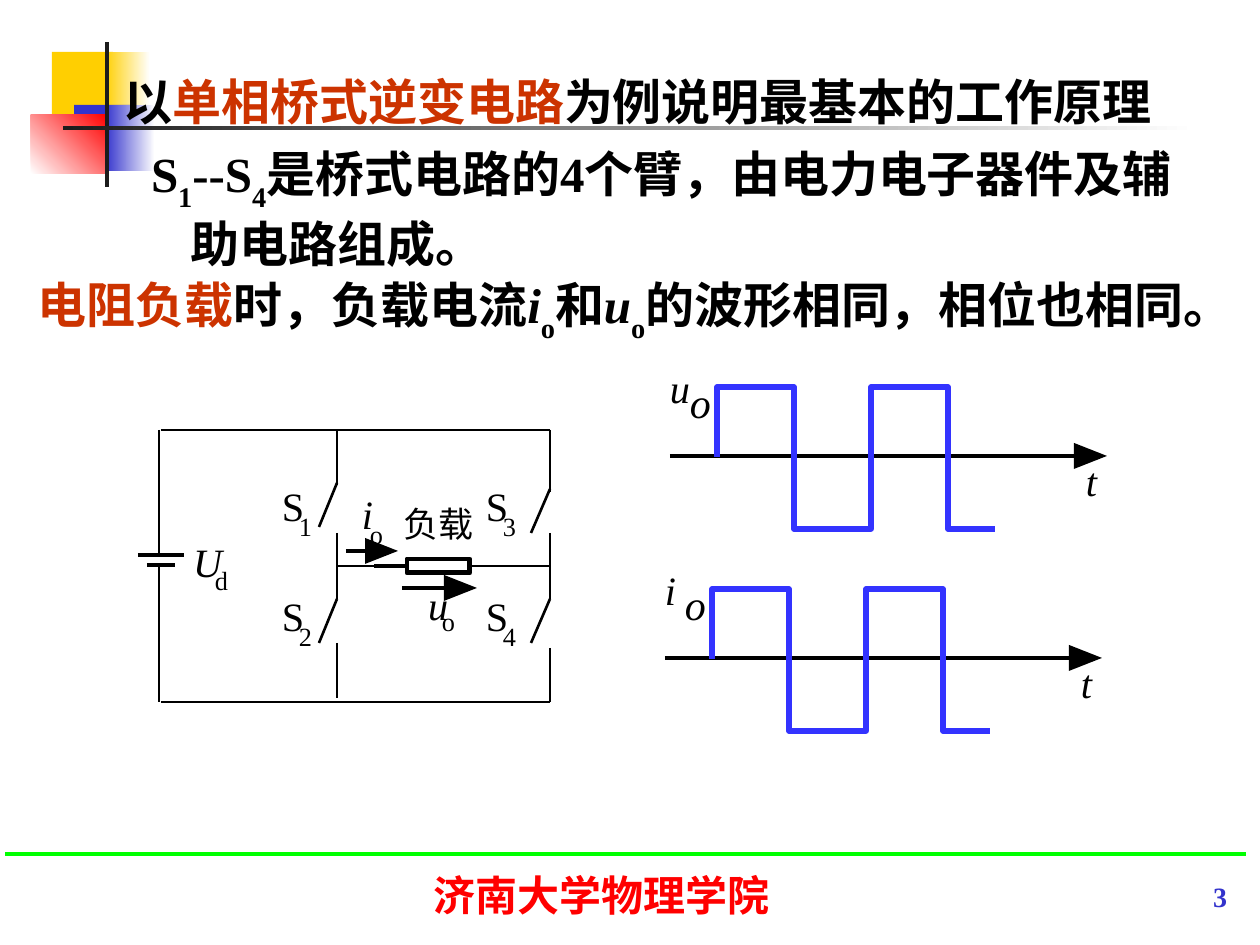
import pptx
import pptx.dml.color
import pptx.enum.dml
import pptx.enum.shapes
import pptx.enum.text
import pptx.oxml.ns
import pptx.util
from lxml import etree

PX = 914400 // 126
SERIF = "Times New Roman"
BLACK, BLUE, ORANGE = "000000", "3333CC", "CC3300"
ALIGN = pptx.enum.text.PP_ALIGN
RECTANGLE = pptx.enum.shapes.MSO_SHAPE.RECTANGLE
color = pptx.dml.color.RGBColor.from_string

presentation = pptx.Presentation()
presentation.slide_width = 1260 * PX
presentation.slide_height = 945 * PX
slide = presentation.slides.add_slide(presentation.slide_layouts[6])
shapes = slide.shapes


def add_line(x1, y1, x2, y2, width=1.5, line_color=BLACK):
    line = shapes.add_connector(
        pptx.enum.shapes.MSO_CONNECTOR.STRAIGHT, x1 * PX, y1 * PX, x2 * PX, y2 * PX)
    line.line.width = pptx.util.Pt(width)
    line.line.color.rgb = color(line_color)
    etree.SubElement(line._element.spPr, pptx.oxml.ns.qn("a:effectLst"))
    return line


def add_text(box, runs, size, font=SERIF, bold=True, align=ALIGN.LEFT,
             margins=(13, 6, 13, 6), indent=0, spacing=None, wrap=True):
    shape = shapes.add_textbox(*[value * PX for value in box])
    frame = shape.text_frame
    frame.word_wrap = wrap
    frame.margin_left, frame.margin_top, frame.margin_right, frame.margin_bottom = [
        value * PX for value in margins]
    paragraph = frame.paragraphs[0]
    paragraph.alignment = align
    paragraph.line_spacing = spacing
    if indent:
        properties = paragraph._p.get_or_add_pPr()
        properties.set("marL", str(indent * PX))
        properties.set("indent", str(-indent * PX))
        properties.set("hangingPunct", "0")
    for text, text_color, italic, baseline in runs:
        run = paragraph.add_run()
        run.text = text
        run.font.size = pptx.util.Pt(size)
        run.font.name = font
        run.font.bold = bold
        run.font.italic = italic
        run.font.color.rgb = color(text_color)
        properties = run._r.get_or_add_rPr()
        if baseline:
            properties.set("baseline", str(baseline * 1000))
        east_asian = etree.SubElement(properties, pptx.oxml.ns.qn("a:ea"))
        east_asian.set("typeface", "Noto Sans CJK SC")


add_text((840, 874, 400, 44), [("3", BLUE, False, 0)], 16, align=ALIGN.RIGHT)

decorations = [
    (52, 52, 61, 66, ["FFCF01"], 0),
    (105, 52, 45, 66, ["FFCF01", "FFFFFF"], 0),
    (74, 105, 57, 66, [BLUE], 0),
    (105, 105, 50, 66, [BLUE, "FFFFFF"], 0),
    (31, 115, 77, 59, ["FFFFFF", "FF0000"], 45),
    (105, 42, 4, 145, ["1C1C1C"], 0),
    (63, 126, 1134, 4, ["1C1C1C", "FFFFFF"], 0),
]
for left, top, width, height, fills, angle in decorations:
    shape = shapes.add_shape(RECTANGLE, left * PX, top * PX, width * PX, height * PX)
    shape.shadow.inherit = False
    shape.line.fill.background()
    if len(fills) == 1:
        shape.fill.solid()
        shape.fill.fore_color.rgb = color(fills[0])
    else:
        shape.fill.gradient()
        shape.fill.gradient_angle = angle
        for stop, fill_color in zip(shape.fill.gradient_stops, fills):
            stop.color.rgb = color(fill_color)

add_text((369, 864, 465, 73), [("济南大学物理学院", "FF0000", False, 0)], 24,
         font="Lato", align=ALIGN.CENTER, margins=(13, 6, 13, 0))
add_line(5, 854, 1246, 854, 2.25, "00FF00")

add_text((64, 57, 1147, 81), [
    ("以", BLACK, False, 0),
    ("单相桥式逆变电路", ORANGE, False, 0),
    ("为例说明最基本的工作原理", BLACK, False, 0),
], 28, font="Lato", align=ALIGN.CENTER, indent=48, spacing=1.15, wrap=False)

add_text((138, 138, 1052, 141), [
    ("S", BLACK, False, 0),
    ("1", BLACK, False, -30),
    ("--S", BLACK, False, 0),
    ("4", BLACK, False, -30),
    ("是桥式电路的4个臂，由电力电子器件及辅助电路组成。", BLACK, False, 0),
], 28, indent=40)

add_text((25, 269, 1232, 124), [
    ("电阻负载", ORANGE, False, 0),
    ("时，负载电流", BLACK, False, 0),
    ("i", BLACK, True, 0),
    ("o", BLACK, False, -30),
    ("和", BLACK, False, 0),
    ("u", BLACK, True, 0),
    ("o", BLACK, False, -30),
    ("的波形相同，相位也相同。", BLACK, False, 0),
], 28, align=ALIGN.JUSTIFY, indent=40, spacing=0.9)

arrows = [(670, 1076, 456), (665, 1071, 658), (346, 367, 551), (402, 446, 588)]
for start, end, y in arrows:
    add_line(start, y, end, y, 2.75)
    builder = shapes.build_freeform(end - 2, y - 13, scale=PX)
    builder.add_line_segments([(end + 31, y), (end - 2, y + 13)], close=True)
    head = builder.convert_to_shape()
    head.shadow.inherit = False
    head.fill.solid()
    head.fill.fore_color.rgb = color(BLACK)
    head.line.fill.background()

labels = [
    ("负载", 403, 503, 71, 20, False),
    ("i", 362, 489, 11, 23, True), ("o", 370, 518, 14, 15, False),
    ("u", 428, 580, 20, 23, True), ("o", 442, 605, 14, 15, False),
    ("U", 193, 537, 29, 23, True), ("d", 215, 564, 14, 15, False),
]
for number, x, y in [("1", 282, 481), ("2", 282, 591), ("3", 486, 481), ("4", 486, 591)]:
    labels += [("S", x, y, 23, 23, False), (number, x + 17, y + 29, 14, 15, False)]

for name, name_width, x, y in [("u", 20, 670, 363), ("i", 11, 665, 565)]:
    high, low = y + 24, y + 166
    points = [(x + 47, high)]
    for step, level in enumerate([low, high, low]):
        edge = x + 124 + 77 * step
        points += [(edge, points[-1][1]), (edge, level)]
    points.append((x + 325, low))
    builder = shapes.build_freeform(x + 47, y + 94, scale=PX)
    builder.add_line_segments(points, close=False)
    wave = builder.convert_to_shape()
    wave.shadow.inherit = False
    wave.fill.background()
    wave.line.color.rgb = color("3333FF")
    wave.line.width = pptx.util.Pt(3)
    labels += [(name, x, y, name_width, 23, True), ("o", x + 20, y + 14, 21, 24, True),
               ("t", x + 416, y + 93, 11, 23, True)]

for y, start, end in [(555, 138, 184), (565, 147, 175)]:
    add_line(start, y, end, y, 2.75)

wires = [
    (159, 430, 159, 555), (159, 565, 159, 702),
    (161, 430, 550, 430), (161, 702, 550, 702),
    (337, 430, 337, 485), (337, 533, 337, 599), (337, 643, 337, 698),
    (550, 430, 550, 492), (550, 533, 550, 599), (550, 648, 550, 702),
    (319, 527, 337, 483), (319, 643, 337, 599),
    (531, 533, 550, 489), (531, 643, 550, 599),
    (337, 566, 383, 566),
]
for wire in wires:
    add_line(*wire)

resistor = shapes.add_shape(RECTANGLE, 407 * PX, 559 * PX, 63 * PX, 14 * PX)
resistor.shadow.inherit = False
resistor.fill.background()
resistor.line.color.rgb = color(BLACK)
resistor.line.width = pptx.util.Pt(2.75)
add_line(407, 566, 374, 566, 2.75).begin_connect(resistor, 1)
add_line(470, 566, 550, 566).begin_connect(resistor, 3)

for text, x, y, width, size, italic in labels:
    font = "Noto Sans CJK SC" if text == "负载" else SERIF
    add_text((x, y, width, 2 * size), [(text, BLACK, italic, 0)], size, font=font,
             bold=False, margins=(0, 0, 0, 0), wrap=False)

presentation.save("out.pptx")
